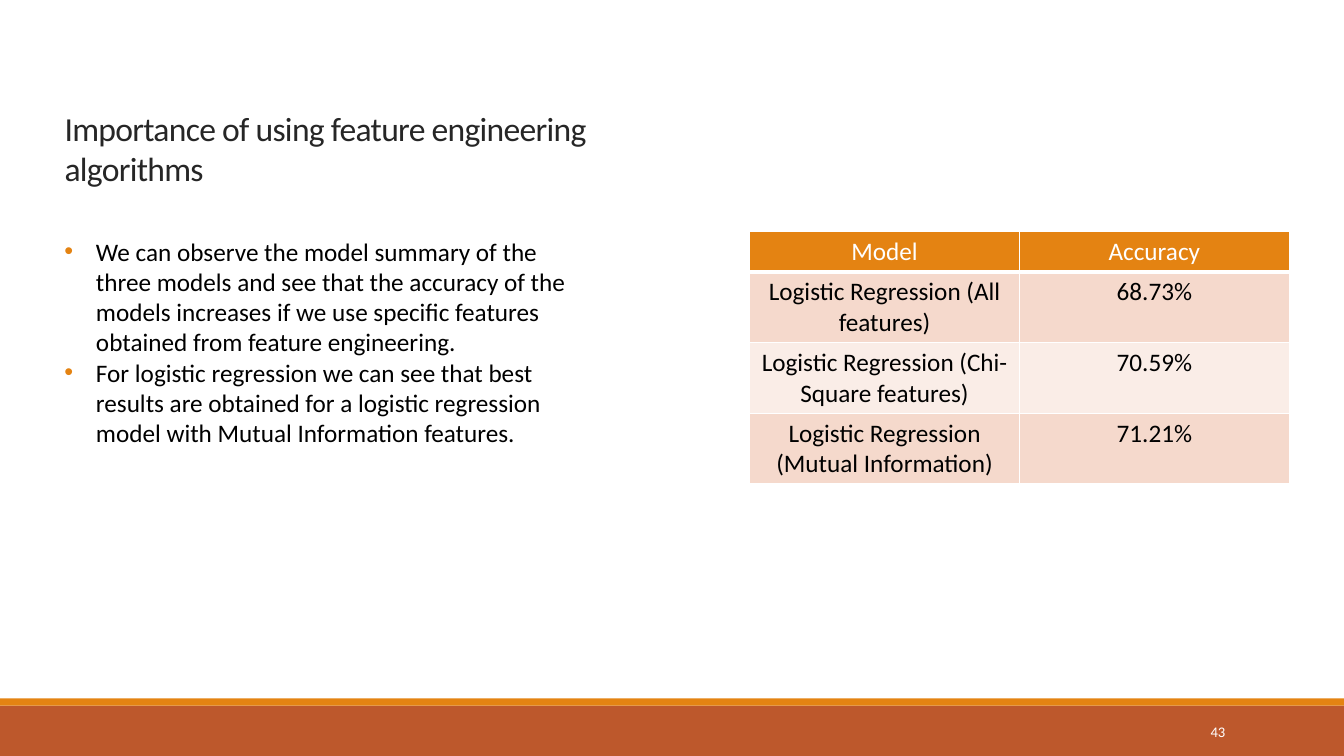
from dataclasses import dataclass

from lxml import etree
from pptx import Presentation
from pptx.dml.color import RGBColor
from pptx.enum.shapes import MSO_SHAPE
from pptx.enum.text import MSO_ANCHOR, PP_ALIGN
from pptx.oxml.ns import qn
from pptx.util import Emu, Pt

RECTANGLE = MSO_SHAPE.RECTANGLE
LEFT, CENTER, RIGHT = PP_ALIGN.LEFT, PP_ALIGN.CENTER, PP_ALIGN.RIGHT
TOP, MIDDLE = MSO_ANCHOR.TOP, MSO_ANCHOR.MIDDLE
EMU_PER_PX = 9525
EMU_PER_PT = 12700


@dataclass(frozen=True)
class Theme:
    font: str = "Calibri"
    orange: str = "E48312"
    rust: str = "BD582C"
    band_dark: str = "F5D9CC"
    band_light: str = "FAEDE7"
    heading: str = "262626"
    black: str = "000000"
    white: str = "FFFFFF"
    title_size: float = 24
    body_size: float = 18
    number_size: float = 10.5


THEME = Theme()

TITLE = "Importance of using feature engineering algorithms"
FINDINGS = [
    "We can observe the model summary of the three models and see that the "
    "accuracy of the models increases if we use specific features obtained "
    "from feature engineering.",
    "For logistic regression we can see that best results are obtained for a "
    "logistic regression model with Mutual Information features.",
]
ACCURACIES = [
    ("Model", "Accuracy"),
    ("Logistic Regression (All features)", "68.73%"),
    ("Logistic Regression (Chi-Square features)", "70.59%"),
    ("Logistic Regression (Mutual Information)", "71.21%"),
]


def px(length):
    return Emu(length * EMU_PER_PX)


def rgb(color):
    return RGBColor.from_string(color)


def add_bullet(paragraph, color, indent):
    properties = paragraph._p.get_or_add_pPr()
    properties.set("marL", str(px(indent)))
    properties.set("indent", str(-px(indent)))
    bullet_color = etree.SubElement(properties, qn("a:buClr"))
    etree.SubElement(bullet_color, qn("a:srgbClr"), val=color)
    etree.SubElement(properties, qn("a:buFont"), typeface="Arial")
    etree.SubElement(properties, qn("a:buChar"), char="•")


def write_text(frame, lines, size=THEME.body_size, color=THEME.black,
               align=LEFT, spacing=0, bullet=None):
    frame.word_wrap = True
    for index, line in enumerate(lines):
        paragraph = frame.add_paragraph() if index else frame.paragraphs[0]
        if bullet:
            add_bullet(paragraph, bullet, indent=30)
        paragraph.alignment = align
        run = paragraph.add_run()
        run.text = line
        run.font.name = THEME.font
        run.font.size = Pt(size)
        run.font.color.rgb = rgb(color)
        if spacing:
            run.font._element.set("spc", str(spacing))


def add_text(slide, box, lines, anchor=TOP, right_inset=10, **text_format):
    frame = slide.shapes.add_textbox(*map(px, box)).text_frame
    frame.vertical_anchor = anchor
    frame.margin_right = px(right_inset)
    write_text(frame, lines, **text_format)


def add_bar(slide, box, color):
    bar = slide.shapes.add_shape(RECTANGLE, *map(px, box))
    bar.shadow.inherit = False
    bar.fill.solid()
    bar.fill.fore_color.rgb = rgb(color)
    bar.line.fill.background()


def set_borders(cell, bottom=1):
    properties = cell._tc.get_or_add_tcPr()
    widths = {"a:lnL": 1, "a:lnR": 1, "a:lnT": 1, "a:lnB": bottom}
    for position, (side, width) in enumerate(widths.items()):
        border = etree.Element(qn(side), w=str(width * EMU_PER_PT))
        fill = etree.SubElement(border, qn("a:solidFill"))
        etree.SubElement(fill, qn("a:srgbClr"), val=THEME.white)
        properties.insert(position, border)


def add_accuracy_table(slide, box, header_height, rows):
    table = slide.shapes.add_table(len(rows), len(rows[0]), *map(px, box)).table
    row_height = (box[3] - header_height) // (len(rows) - 1)
    for r, values in enumerate(rows):
        is_header = r == 0
        band = THEME.band_dark if r % 2 else THEME.band_light
        table.rows[r].height = px(header_height if is_header else row_height)
        for c, value in enumerate(values):
            cell = table.cell(r, c)
            cell.fill.solid()
            cell.fill.fore_color.rgb = rgb(THEME.orange if is_header else band)
            set_borders(cell, bottom=3 if is_header else 1)
            write_text(cell.text_frame, [value], align=CENTER,
                       color=THEME.white if is_header else THEME.black)


def main():
    presentation = Presentation()
    presentation.slide_width, presentation.slide_height = px(1280), px(720)
    slide = presentation.slides.add_slide(presentation.slide_layouts[6])

    add_bar(slide, (0, 672, 1280, 48), THEME.rust)
    add_bar(slide, (0, 665, 1280, 7), THEME.orange)
    add_text(slide, (52, 98, 652, 48), [TITLE], right_inset=30,
             size=THEME.title_size, color=THEME.heading, spacing=-50)
    add_accuracy_table(slide, (714, 220, 514, 240), 39, ACCURACIES)
    add_text(slide, (52, 220, 527, 213), FINDINGS, right_inset=27,
             bullet=THEME.orange)
    add_text(slide, (1040, 678, 137, 38), ["43"], anchor=MIDDLE,
             size=THEME.number_size, color=THEME.white, align=RIGHT)

    presentation.save("out.pptx")


if __name__ == "__main__":
    main()
